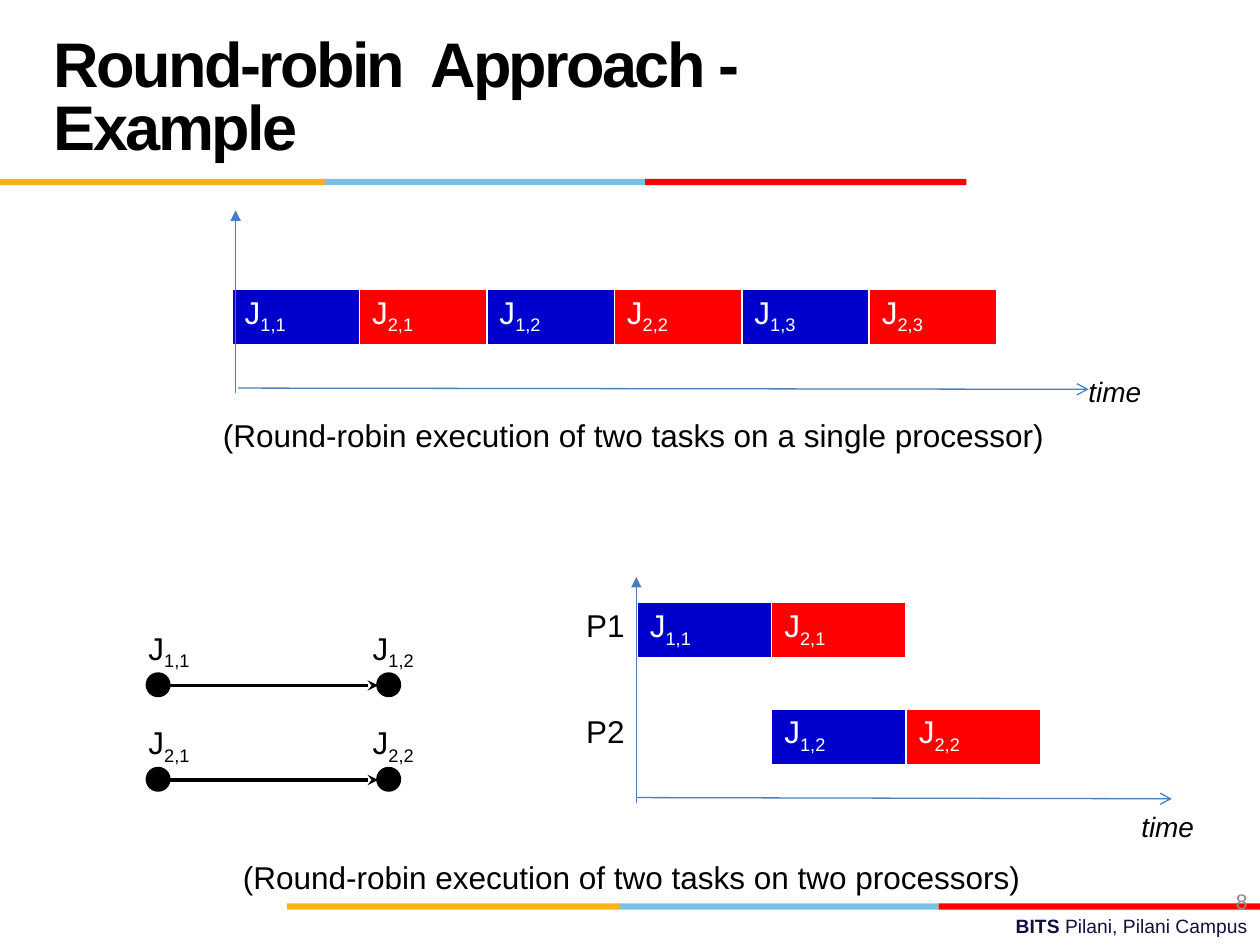
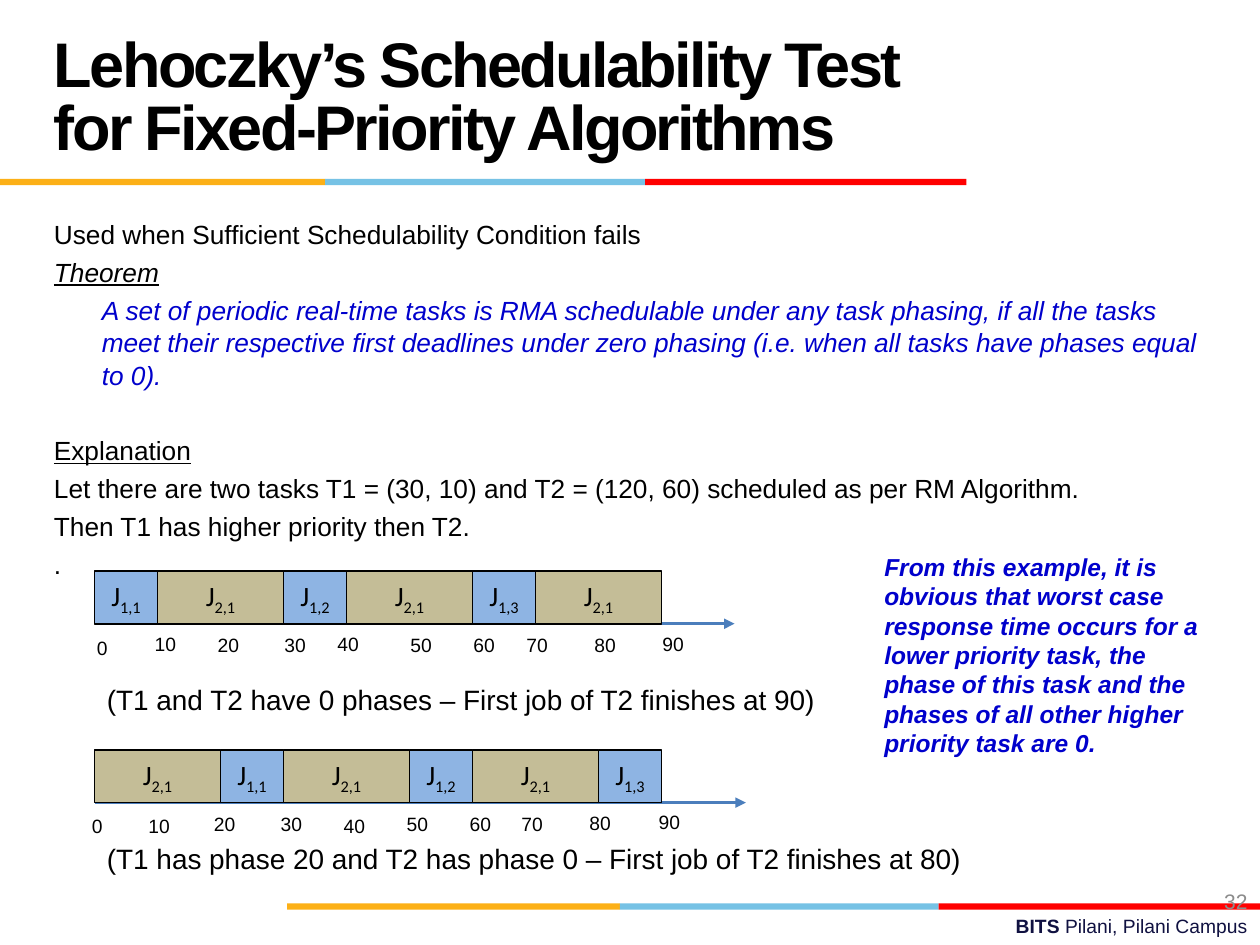
from lxml import etree
from pptx import Presentation
from pptx.dml.color import RGBColor
from pptx.enum import shapes, text
from pptx.oxml import ns
from pptx.util import Inches, Pt

# Colours
BLACK = RGBColor(0x00, 0x00, 0x00)
WHITE = RGBColor(0xFF, 0xFF, 0xFF)
BLUE = RGBColor(0x00, 0x00, 0xCC)
RED = RGBColor(0xFF, 0x00, 0x00)
BAND_YELLOW = RGBColor(0xFC, 0xB0, 0x17)
BAND_BLUE = RGBColor(0x76, 0xC2, 0xE5)
FOOTER_NAVY = RGBColor(0x10, 0x11, 0x41)
NUMBER_GREY = RGBColor(0x8C, 0x8C, 0x8C)
AXIS_BLUE = RGBColor(0x4B, 0x7E, 0xBC)
HIGH_PRIORITY = RGBColor(0x8E, 0xB4, 0xE3)
LOW_PRIORITY = RGBColor(0xC4, 0xBD, 0x97)

LEFT, CENTER, RIGHT = text.PP_ALIGN.LEFT, text.PP_ALIGN.CENTER, text.PP_ALIGN.RIGHT
TOP, MIDDLE = text.MSO_ANCHOR.TOP, text.MSO_ANCHOR.MIDDLE

# Shared bands: left, width, colour
TITLE_BANDS = [(0, 2.58, BAND_YELLOW), (2.58, 2.54, BAND_BLUE), (5.12, 2.55, RED)]
FOOTER_BANDS = [(2.28, 2.64, BAND_YELLOW), (4.92, 2.53, BAND_BLUE), (7.45, 2.55, RED)]


def inches(values):
    return [Inches(value) for value in values]


def set_attributes(target, values):
    for name, value in values.items():
        setattr(target, name, value)


def add_run(paragraph, words, size, color=BLACK, **values):
    run = paragraph.add_run()
    run.text = words
    set_attributes(run.font, {"name": "Arial", "size": Pt(size), "bold": False, **values})
    run.font.color.rgb = color
    return run


def write_label(paragraph, label, size, color=BLACK, **values):
    """Write a label; what follows an underscore becomes a subscript."""
    base, _, subscript = label.partition("_")
    add_run(paragraph, base, size, color, **values)
    if subscript:
        run = add_run(paragraph, subscript, size, color, **values)
        run._r.get_or_add_rPr().set("baseline", "-25000")


def add_box(slide, box, wrap=True, anchor=TOP):
    frame = slide.shapes.add_textbox(*inches(box)).text_frame
    set_attributes(frame, {"word_wrap": wrap, "vertical_anchor": anchor})
    if not wrap:
        frame.auto_size = text.MSO_AUTO_SIZE.SHAPE_TO_FIT_TEXT
    return frame


def add_label(slide, box, label, size, color=BLACK, wrap=False, **values):
    frame = add_box(slide, box, wrap)
    write_label(frame.paragraphs[0], label, size, color, **values)


def add_filled(slide, kind, box, fill, line=None, width=1):
    shape = slide.shapes.add_shape(kind, *inches(box))
    shape.shadow.inherit = False
    shape.fill.solid()
    shape.fill.fore_color.rgb = fill
    if line is None:
        shape.line.fill.background()
    else:
        shape.line.color.rgb = line
        shape.line.width = Pt(width)
    return shape


def add_line(slide, start, end, color, width, head=None, tail=None):
    line = slide.shapes.add_connector(
        shapes.MSO_CONNECTOR.STRAIGHT, *inches(start + end))
    line.line.color.rgb = color
    line.line.width = Pt(width)
    outline = line.line._get_or_add_ln()
    for tag, kind in (("a:headEnd", head), ("a:tailEnd", tail)):
        if kind:
            etree.SubElement(outline, ns.qn(tag)).set("type", kind)
    etree.SubElement(line._element.spPr, ns.qn("a:effectLst"))


def add_bands(slide, top, bands):
    for left, width, color in bands:
        add_filled(slide, shapes.MSO_SHAPE.RECTANGLE, (left, top, width, 0.05), color)


def start_slide(presentation, title, number):
    """Add a slide with its bands, footer, title and page number."""
    slide = presentation.slides.add_slide(presentation.slide_layouts[6])
    footer = add_box(slide, (3.58, 7.21, 6.42, 0.29)).paragraphs[0]
    footer.alignment = RIGHT
    add_run(footer, "BITS ", 11, FOOTER_NAVY, bold=True)
    add_run(footer, "Pilani, Pilani Campus", 11, FOOTER_NAVY)
    add_bands(slide, 7.17, FOOTER_BANDS)
    add_bands(slide, 1.42, TITLE_BANDS)

    heading = add_box(slide, (0.33, 0.17, 6.92, 1.25), anchor=MIDDLE).paragraphs[0]
    heading.line_spacing = Pt(36)
    run = add_run(heading, title, 36, bold=True)
    run._r.get_or_add_rPr().set("spc", "-150")

    page = add_box(slide, (7.67, 6.95, 2.33, 0.4), anchor=MIDDLE).paragraphs[0]
    page.alignment = RIGHT
    add_run(page, number, 12, NUMBER_GREY)
    return slide


def add_schedule_table(slide, box, rows, columns, jobs, processors=()):
    """Jobs and processors are (row, column, label); job 1 is blue, job 2 red."""
    table = slide.shapes.add_table(rows, columns, *inches(box)).table
    for cell in table.iter_cells():
        cell.fill.background()
    for row, column, label in jobs:
        cell = table.cell(row, column)
        cell.fill.solid()
        cell.fill.fore_color.rgb = BLUE if label.startswith("J_1") else RED
        write_label(cell.text_frame.paragraphs[0], label, 18, WHITE)
    for row, column, label in processors:
        paragraph = table.cell(row, column).text_frame.paragraphs[0]
        paragraph.alignment = RIGHT
        write_label(paragraph, label, 18)


def add_precedence(slide, top, first, second):
    """Draw two job dots joined by an arrow, with labels above."""
    middle = top + 0.09
    add_line(slide, (1.25, middle), (3, middle), BLACK, 2, "oval", "stealth")
    for dot_left, label_left, label in ((1.17, 1.08, first), (3, 2.86, second)):
        add_filled(slide, shapes.MSO_SHAPE.OVAL, (dot_left, top, 0.17, 0.17),
                   BLACK, BLACK, 2)
        add_label(slide, (label_left, top - 0.41, 0.56, 0.4), label, 18)


def add_timeline(slide, top, axis_start, axis_end, jobs, ticks):
    """Draw job blocks end to end on a time axis; ticks are (left, top) by tens."""
    bottom = top + 0.42
    add_line(slide, (axis_start, bottom), (axis_end, bottom), AXIS_BLUE, 2,
             tail="triangle")
    left = 0.75
    for label in jobs:
        high = label.startswith("J_1")
        width = 0.5 if high else 1
        block = add_filled(slide, shapes.MSO_SHAPE.RECTANGLE, (left, top, width, 0.42),
                           HIGH_PRIORITY if high else LOW_PRIORITY, BLACK)
        block.text_frame.vertical_anchor = MIDDLE
        paragraph = block.text_frame.paragraphs[0]
        paragraph.alignment = CENTER
        write_label(paragraph, label, 16, name="Calibri")
        left += width
    for index, (tick_left, tick_top) in enumerate(ticks):
        width = 0.37 if index else 0.29
        add_label(slide, (tick_left, tick_top, width, 0.29), str(index * 10), 11)


def add_body(slide, box, paragraphs):
    """Paragraphs are (words, indent, space before, colour, font values)."""
    frame = add_box(slide, box)
    for index, (words, indent, before, color, values) in enumerate(paragraphs):
        paragraph = frame.add_paragraph() if index else frame.paragraphs[0]
        paragraph._p.get_or_add_pPr().set("marL", str(Inches(indent)))
        paragraph.line_spacing = 1.04
        if index:
            paragraph.space_before = Pt(before)
        add_run(paragraph, words, 15, color, **values)


def build_round_robin(presentation):
    slide = start_slide(presentation, "Round-robin  Approach - Example", "8")

    # Two processors
    add_schedule_table(
        slide, (3.99, 4.78, 4.27, 2.03), 5, 4,
        [(0, 1, "J_1,1"), (0, 2, "J_2,1"), (2, 2, "J_1,2"), (2, 3, "J_2,2")],
        [(0, 0, "P1"), (2, 0, "P2")])
    add_line(slide, (5.05, 4.58), (5.05, 6.37), AXIS_BLUE, 0.75, head="triangle")
    add_line(slide, (5.05, 6.33), (9.3, 6.34), AXIS_BLUE, 0.75, tail="arrow")
    add_label(slide, (8.96, 6.38, 0.63, 0.37), "time", 16, italic=True)
    add_label(slide, (1.83, 6.76, 6.43, 0.4),
              "(Round-robin execution of two tasks on two processors)", 18)

    # Job order
    add_precedence(slide, 5.35, "J_1,1", "J_1,2")
    add_precedence(slide, 6.1, "J_2,1", "J_2,2")

    # Single processor
    jobs = [f"J_{task},{job}" for job in (1, 2, 3) for task in (1, 2)]
    add_schedule_table(slide, (0.83, 1.89, 7.08, 1.62), 4, 7,
                       [(1, column, job) for column, job in enumerate(jobs, 1)])
    add_line(slide, (1.87, 1.67), (1.87, 3.12), AXIS_BLUE, 0.75, head="triangle")
    add_line(slide, (1.89, 3.08), (8.64, 3.09), AXIS_BLUE, 0.75, tail="arrow")
    add_label(slide, (8.54, 2.92, 0.63, 0.37), "time", 16, italic=True)
    add_label(slide, (1.67, 3.25, 6.91, 0.4),
              "(Round-robin execution of two tasks on a single processor)", 18)


def build_schedulability_test(presentation):
    slide = start_slide(
        presentation, "Lehoczky’s Schedulability Test for Fixed-Priority Algorithms", "32")

    # Theorem and explanation
    add_body(slide, (0.33, 1.67, 9.33, 3.33), [
        ("Used when Sufficient Schedulability Condition fails", 0, 0, BLACK, {}),
        ("Theorem", 0, 3, BLACK, {"italic": True, "underline": True}),
        ("A set of periodic real-time tasks is RMA schedulable under any task phasing, "
         "if all the tasks meet their respective first deadlines under zero phasing "
         "(i.e. when all tasks have phases equal to 0).", 0.38, 3, BLUE, {"italic": True}),
        ("Explanation", 0, 24, BLACK, {"underline": True}),
        ("Let there are two tasks T1 = (30, 10) and T2 = (120, 60) scheduled "
         "as per RM Algorithm.", 0, 3, BLACK, {}),
        ("Then T1 has higher priority then T2.", 0, 3, BLACK, {}),
        (".", 0, 3, BLACK, {}),
    ])

    # Both tasks with zero phase
    add_timeline(
        slide, 4.53, 0.79, 5.83,
        ["J_1,1", "J_2,1", "J_1,2", "J_2,1", "J_1,3", "J_2,1"],
        [(0.67, 5), (1.13, 4.97), (1.63, 4.98), (2.16, 4.98), (2.58, 4.97),
         (3.16, 4.98), (3.66, 4.98), (4.08, 4.98), (4.62, 4.98), (5.16, 4.97)])
    add_label(slide, (0.75, 5.37, 5.9, 0.37),
              "(T1 and T2 have 0 phases – First job of T2 finishes at 90)", 16)

    # First task with phase 20
    add_timeline(
        slide, 5.95, 0.75, 5.92,
        ["J_2,1", "J_1,1", "J_2,1", "J_1,2", "J_2,1", "J_1,3"],
        [(0.63, 6.41), (1.08, 6.41), (1.6, 6.4), (2.13, 6.4), (2.63, 6.41),
         (3.13, 6.4), (3.63, 6.4), (4.04, 6.4), (4.58, 6.39), (5.13, 6.38)])
    add_label(slide, (0.75, 6.63, 7.21, 0.37),
              "(T1 has phase 20 and T2 has phase 0 – First job of T2 finishes at 80)", 16)

    # Conclusion
    add_label(slide, (6.92, 4.33, 2.83, 1.75),
              "From this example, it is obvious that worst case response time occurs "
              "for a lower priority task, the phase of this task and the phases of all "
              "other higher priority task are 0.",
              14, BLUE, wrap=True, bold=True, italic=True)


def main():
    presentation = Presentation()
    presentation.slide_width, presentation.slide_height = Inches(10), Inches(7.5)
    build_round_robin(presentation)
    build_schedulability_test(presentation)
    presentation.save("out.pptx")


if __name__ == "__main__":
    main()
